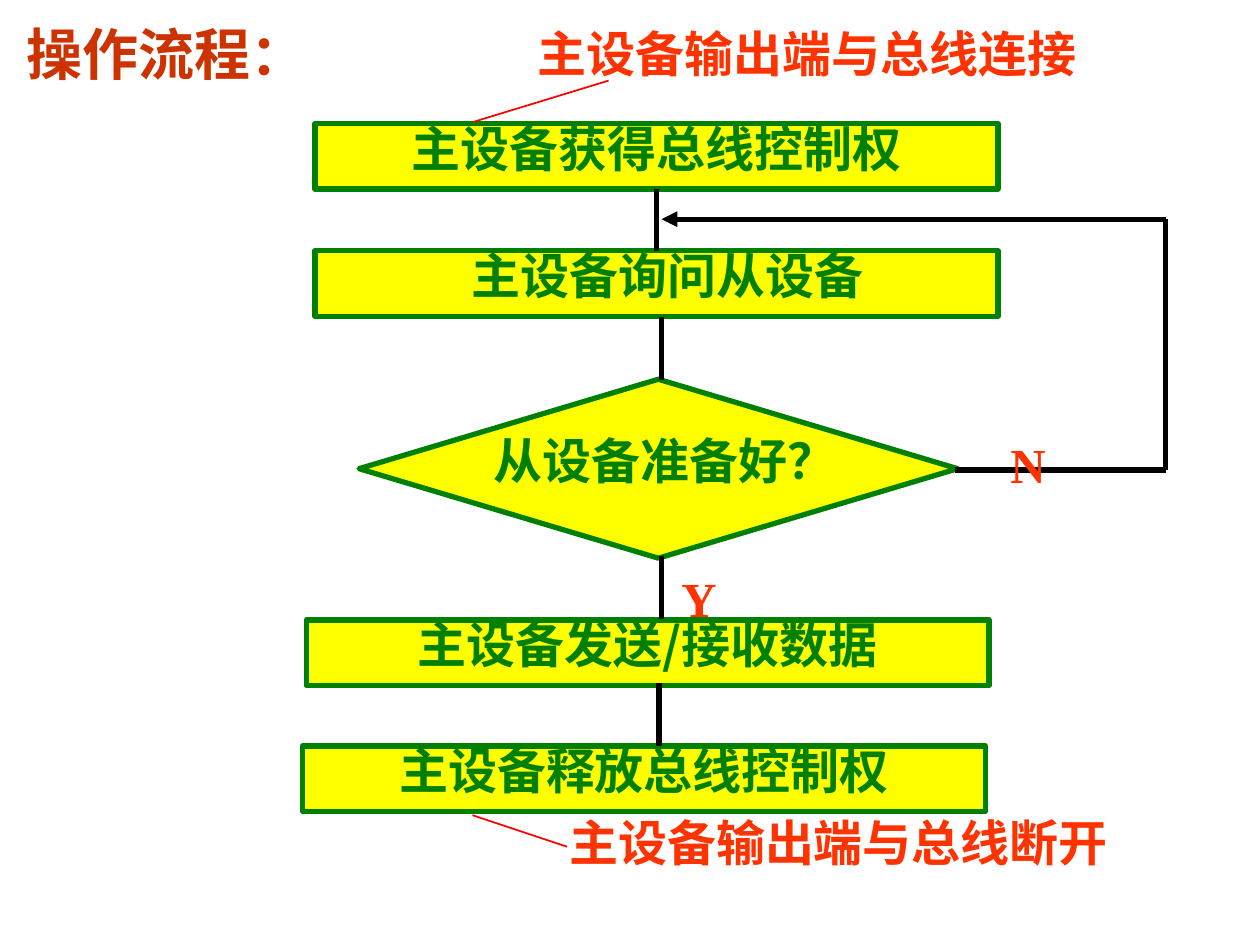
from dataclasses import dataclass
from typing import Optional

from lxml import etree
from pptx import Presentation
from pptx.dml.color import RGBColor
from pptx.enum.shapes import MSO_CONNECTOR, MSO_SHAPE
from pptx.enum.text import MSO_ANCHOR, PP_ALIGN
from pptx.oxml.ns import qn
from pptx.util import Inches, Pt

STRAIGHT = MSO_CONNECTOR.STRAIGHT
RECT, CHOICE = MSO_SHAPE.RECTANGLE, MSO_SHAPE.FLOWCHART_DECISION
LEFT, CENTER = PP_ALIGN.LEFT, PP_ALIGN.CENTER
TOP = MSO_ANCHOR.TOP
BOTTOM_SITE, TOP_SITE = 2, 0


@dataclass(frozen=True)
class Theme:
    sans: str = "Noto Sans CJK SC"
    serif: str = "Times New Roman"
    title: str = "CC3300"
    note: str = "FF3300"
    green: str = "008000"
    yellow: str = "FFFF00"
    black: str = "000000"
    red: str = "FF0000"
    head: int = 32
    body: int = 28
    thick: int = 3
    thin: int = 1


@dataclass(frozen=True)
class Step:
    text: str
    left: float
    top: float
    shift: float = 0


@dataclass(frozen=True)
class Note:
    text: str
    left: float
    top: float
    width: float


@dataclass(frozen=True)
class Line:
    start: tuple[float, float]
    end: tuple[float, float]
    color: str = Theme.black
    weight: int = Theme.thick
    arrow: bool = False
    source: Optional[int] = None
    target: Optional[int] = None


THEME = Theme()
STEP_W, STEP_H = 5.42, 0.52
INDENT = 0.17
AXIS, LOOP_X, LOOP_Y, EXIT_Y = 5.25, 9.25, 1.74, 3.73

STEPS = [
    Step("主设备获得总线控制权", 2.5, 0.98),
    Step("主设备询问从设备", 2.5, 1.99, INDENT),
    Step("主设备发送/接收数据", 2.43, 4.92),
    Step("主设备释放总线控制权", 2.4, 5.92),
]
NOTES = [
    Note("Y", 5.31, 4.46, 0.83),
    Note("N", 7.92, 3.4, 0.83),
    Note("主设备输出端与总线连接", 4.17, 0.14, 4.75),
    Note("主设备输出端与总线断开", 4.42, 6.4, 4.75),
]
LINES = [
    Line((AXIS, 1.5), (AXIS, 1.99), source=0, target=1),
    Line((AXIS, 2.52), (AXIS, 3.02)),
    Line((AXIS, 4.41), (AXIS, 4.91)),
    Line((5.23, 5.42), (5.23, 5.92)),
    Line((7.58, EXIT_Y), (LOOP_X, EXIT_Y)),
    Line((LOOP_X, EXIT_Y), (LOOP_X, LOOP_Y)),
    Line((LOOP_X, LOOP_Y), (AXIS, LOOP_Y), arrow=True),
    Line((3.75, 0.97), (4.83, 0.64), THEME.red, THEME.thin),
    Line((3.75, 6.47), (4.5, 6.72), THEME.red, THEME.thin),
]


def write(shape, text: str, *, color: str, font: str = THEME.sans,
          size: int = THEME.body, align=CENTER, spacing: float = 1,
          shift: float = 0, wrap: bool = True) -> None:
    """Put one bold paragraph in a shape; shift widens its left inset."""
    frame = shape.text_frame
    frame.word_wrap = wrap
    frame.vertical_anchor = TOP
    frame.margin_left = Inches(0.1 + shift)
    para = frame.paragraphs[0]
    para.alignment = align
    para.line_spacing = spacing
    run = para.add_run()
    run.text = text
    run.font.name = font
    run.font.size = Pt(size)
    run.font.bold = True
    run.font.color.rgb = RGBColor.from_string(color)
    east = etree.SubElement(run.font._element, qn("a:ea"))
    east.set("typeface", THEME.sans)


def add_box(slide, left: float, top: float, width: float, height: float):
    return slide.shapes.add_textbox(
        Inches(left), Inches(top), Inches(width), Inches(height))


def add_node(slide, kind, left: float, top: float, width: float, height: float):
    node = slide.shapes.add_shape(
        kind, Inches(left), Inches(top), Inches(width), Inches(height))
    node.shadow.inherit = False
    node.fill.solid()
    node.fill.fore_color.rgb = RGBColor.from_string(THEME.yellow)
    node.line.color.rgb = RGBColor.from_string(THEME.green)
    node.line.width = Pt(THEME.thick)
    return node


def add_step(slide, step: Step):
    node = add_node(slide, RECT, step.left, step.top, STEP_W, STEP_H)
    write(node, step.text, color=THEME.green, spacing=0.8, shift=step.shift)
    return node


def add_note(slide, note: Note) -> None:
    box = add_box(slide, note.left, note.top, note.width, 0.57)
    write(box, note.text, color=THEME.note, font=THEME.serif, align=LEFT)


def add_line(slide, line: Line, nodes: list) -> None:
    """Draw a line, joined to the steps it names."""
    link = slide.shapes.add_connector(
        STRAIGHT, *map(Inches, line.start + line.end))
    if line.source is not None:
        link.begin_connect(nodes[line.source], BOTTOM_SITE)
    if line.target is not None:
        link.end_connect(nodes[line.target], TOP_SITE)
    link.line.color.rgb = RGBColor.from_string(line.color)
    link.line.width = Pt(line.weight)
    if line.arrow:
        etree.SubElement(link.line._get_or_add_ln(), qn("a:tailEnd"),
                         type="triangle")
    etree.SubElement(link._element.spPr, qn("a:effectLst"))


def main() -> None:
    deck = Presentation()
    deck.slide_width, deck.slide_height = Inches(10), Inches(7.5)
    slide = deck.slides.add_slide(deck.slide_layouts[6])

    title = add_box(slide, 0.11, 0.11, 2.43, 0.63)
    write(title, "操作流程：", color=THEME.title, size=THEME.head, wrap=False)

    nodes = [add_step(slide, step) for step in STEPS]
    add_node(slide, CHOICE, 2.85, 3.01, 4.75, 1.42)
    query = add_box(slide, 2.94, 3.46, 4.5, 0.47)
    write(query, "从设备准备好？", color=THEME.green, spacing=0.8, shift=INDENT)

    for line in LINES:
        add_line(slide, line, nodes)
    for note in NOTES:
        add_note(slide, note)
    deck.save("out.pptx")


if __name__ == "__main__":
    main()
